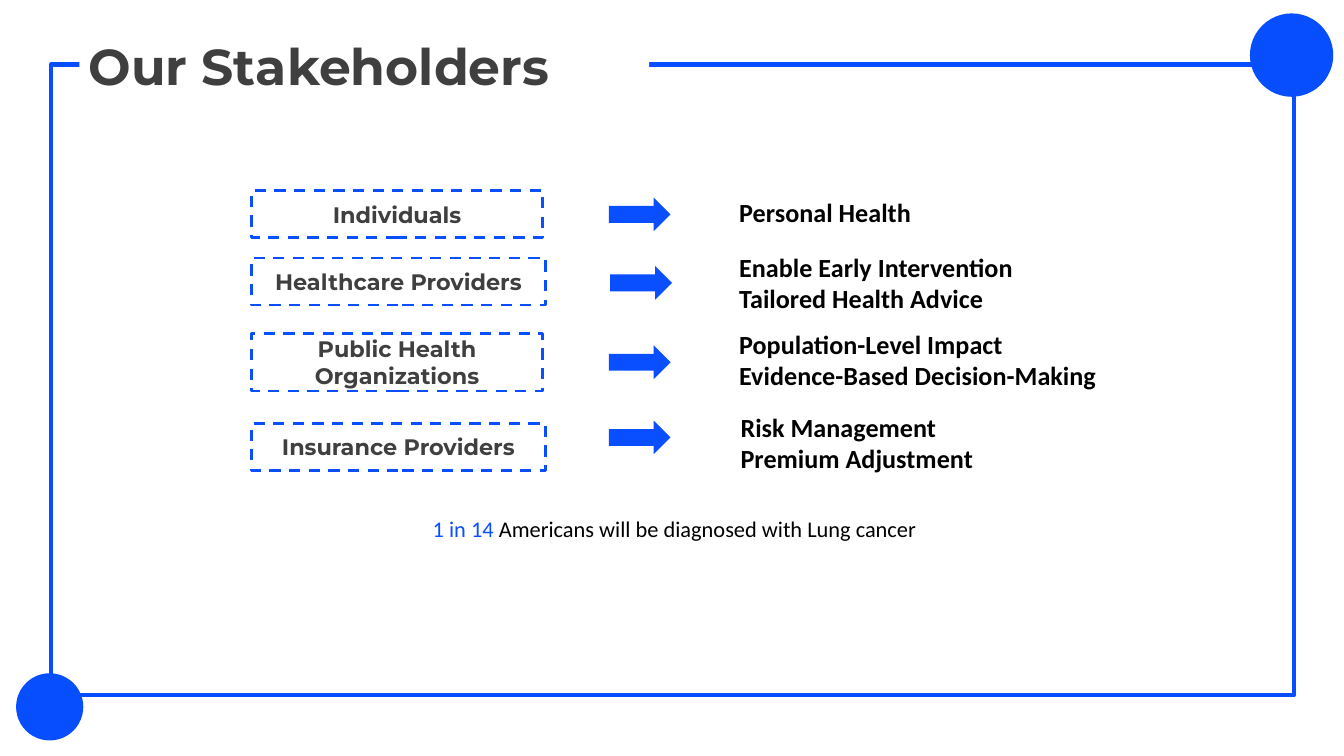
"""Build the stakeholders slide: four groups, each with the benefits it gains."""
from pptx import Presentation
from pptx.dml.color import RGBColor
from pptx.enum.dml import MSO_LINE_DASH_STYLE as Dash
from pptx.enum.shapes import MSO_SHAPE as Kind
from pptx.enum.text import MSO_ANCHOR as Anchor, PP_ALIGN as Align
from pptx.util import Inches, Pt

BLUE = RGBColor(0x07, 0x4E, 0xFE)
AZURE = RGBColor(0x09, 0x4E, 0xFF)
GRAY = RGBColor(0x3F, 0x3F, 0x3F)
BLACK = RGBColor(0, 0, 0)
WHITE = RGBColor(255, 255, 255)

TITLE = "Our Stakeholders"
FACT = [("1 in 14 ", AZURE), ("Americans will be diagnosed with Lung cancer", BLACK)]
ROWS = [
    {"group": "Individuals", "gains": ["Personal Health"],
     "box": (1.87, 1.42, 2.17, 0.35), "arrow": (4.53, 1.47), "note": (5.43, 1.42, 2.88)},
    {"group": "Healthcare Providers",
     "gains": ["Enable Early Intervention", "Tailored Health Advice"],
     "box": (1.87, 1.92, 2.19, 0.35), "arrow": (4.54, 1.98), "note": (5.43, 1.83, 2.88)},
    {"group": "Public Health Organizations",
     "gains": ["Population-Level Impact", "Evidence-Based Decision-Making"],
     "box": (1.87, 2.48, 2.17, 0.43), "arrow": (4.53, 2.57), "note": (5.43, 2.4, 3.36)},
    {"group": "Insurance Providers",
     "gains": ["Risk Management", "Premium Adjustment"],
     "box": (1.87, 3.15, 2.19, 0.35), "arrow": (4.53, 3.13), "note": (5.44, 3.02, 2.88)},
]
DOTS = [(9.3, 0.1, 0.62), (0.12, 5.01, 0.5)]
ARROW = (0.46, 0.25)
LINE = 0.24
WIDE = Inches(10)

HEAD = {"name": "Montserrat", "size": Pt(27), "bold": True}
LABEL = {"name": "Montserrat", "size": Pt(12), "bold": True}
GAIN = {"name": "Calibri", "size": Pt(14), "bold": True}
PLAIN = {"name": "Calibri", "size": Pt(12), "bold": False}
FRAME = {"word_wrap": True, "margin_left": Inches(0.07), "margin_right": Inches(0.07),
         "margin_top": Inches(0.04), "margin_bottom": Inches(0.04)}


def assign(item, values):
    for name, value in values.items():
        setattr(item, name, value)


def draw(slide, kind, area, fill=None, line=None, width=0, dash=None):
    shape = slide.shapes.add_shape(kind, *map(Inches, area))
    shape.shadow.inherit = False
    if fill is None:
        shape.fill.background()
    else:
        shape.fill.solid()
        shape.fill.fore_color.rgb = fill
    if line is None:
        shape.line.fill.background()
    else:
        shape.line.color.rgb = line
        shape.line.width = Pt(width)
        shape.line.dash_style = dash
    return shape


def write(shape, paras, style, align=Align.LEFT, anchor=Anchor.TOP):
    frame = shape.text_frame
    assign(frame, {**FRAME, "vertical_anchor": anchor})
    for i, runs in enumerate(paras):
        para = frame.add_paragraph() if i else frame.paragraphs[0]
        para.alignment = align
        for text, color in runs:
            run = para.add_run()
            run.text = text
            assign(run.font, style)
            run.font.color.rgb = color


def add_text(slide, area, paras, style):
    write(slide.shapes.add_textbox(*map(Inches, area)), paras, style)


def main():
    deck = Presentation()
    deck.slide_width, deck.slide_height = WIDE, WIDE * 9 // 16
    slide = deck.slides.add_slide(deck.slide_layouts[6])

    draw(slide, Kind.RECTANGLE, (0.38, 0.48, 9.25, 4.69), line=BLUE, width=2.25)
    for left, top, size in DOTS:
        draw(slide, Kind.OVAL, (left, top, size, size), BLUE)

    for row in ROWS:
        box = draw(slide, Kind.RECTANGLE, row["box"], line=AZURE, width=1.5, dash=Dash.DASH)
        write(box, [[(row["group"], GRAY)]], LABEL, Align.CENTER, Anchor.MIDDLE)
        draw(slide, Kind.RIGHT_ARROW, row["arrow"] + ARROW, AZURE)
        gains = [[(gain, BLACK)] for gain in row["gains"]]
        add_text(slide, row["note"] + (0.07 + LINE * len(gains),), gains, GAIN)

    add_text(slide, (3.15, 3.79, 3.86, 0.28), [FACT], PLAIN)
    title = draw(slide, Kind.RECTANGLE, (0.59, 0.22, 4.24, 0.53), WHITE)
    write(title, [[(TITLE, GRAY)]], HEAD)
    deck.save("out.pptx")


if __name__ == "__main__":
    main()
